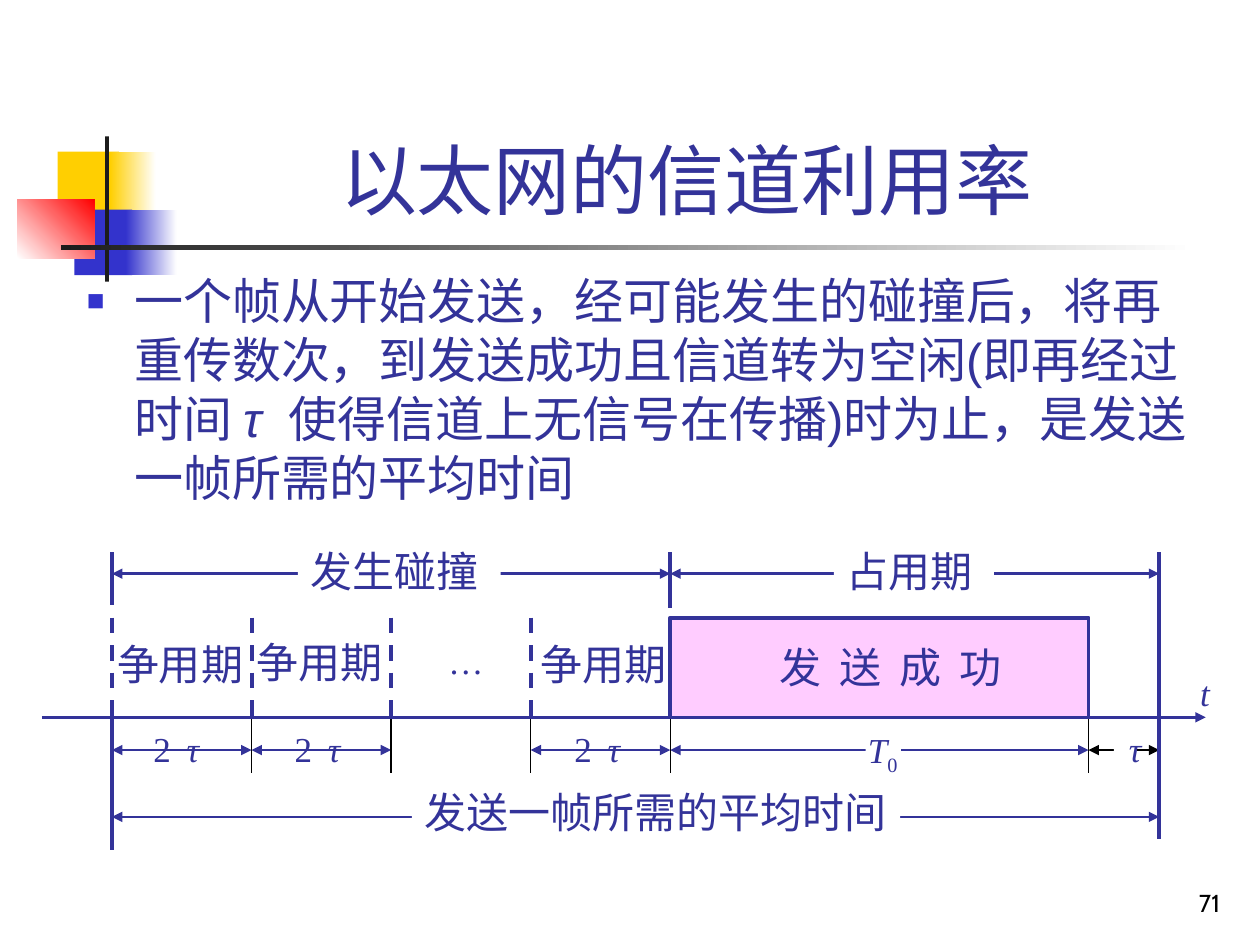
from lxml import etree
from pptx import Presentation
from pptx.dml.color import RGBColor
from pptx.enum import dml, shapes, text
from pptx.oxml.ns import qn
from pptx.util import Pt

NAVY = RGBColor(0x33, 0x33, 0x99)
BLUE = RGBColor(0x33, 0x33, 0xCC)
YELLOW = RGBColor(0xFF, 0xCF, 0x01)
RED = RGBColor(0xFF, 0x00, 0x00)
PINK = RGBColor(0xFF, 0xCC, 0xFF)
INK = RGBColor(0x1C, 0x1C, 0x1C)
BLACK = RGBColor(0, 0, 0)
WHITE = RGBColor(0xFF, 0xFF, 0xFF)
SERIF = "Times New Roman"


def points(*values):
    return [Pt(value) for value in values]


def style_font(font, name, size, color, italic=None):
    font.name, font.size, font.italic = name, Pt(size), italic
    font.color.rgb = color


def add_rect(slide, box, color, end_color=None, angle=0):
    """A borderless rectangle, plain or fading from color to end_color."""
    shape = slide.shapes.add_shape(shapes.MSO_SHAPE.RECTANGLE, *points(*box))
    shape.shadow.inherit = False
    shape.line.fill.background()
    if end_color is None:
        shape.fill.solid()
        shape.fill.fore_color.rgb = color
    else:
        shape.fill.gradient()
        shape.fill.gradient_angle = angle
        for stop, stop_color in zip(shape.fill.gradient_stops, (color, end_color)):
            stop.color.rgb = stop_color
    return shape


def add_line(slide, x1, y1, x2, y2, color=NAVY, width=2.25, dash=None, ends=()):
    """A straight line; ends lists the headEnd and tailEnd arrowheads wanted."""
    line = slide.shapes.add_connector(shapes.MSO_CONNECTOR.STRAIGHT, *points(x1, y1, x2, y2))
    line.line.color.rgb = color
    line.line.width = Pt(width)
    if dash is not None:
        line.line.dash_style = dash
    properties = line._element.spPr
    for end in ends:
        etree.SubElement(properties.find(qn("a:ln")), qn(f"a:{end}"), type="triangle")
    etree.SubElement(properties, qn("a:effectLst"))


def add_span(slide, x1, x2, y, color=NAVY):
    add_line(slide, x1, y, x2, y, color, 1.5, ends=("headEnd", "tailEnd"))


def add_label(slide, wording, x, y, width, size=24, italic=None, fill=None):
    """One unwrapped line of text in a box that grows to hold it."""
    box = slide.shapes.add_textbox(*points(x, y, width, size * 1.1 + 9.6))
    if fill is not None:
        box.fill.solid()
        box.fill.fore_color.rgb = fill
    box.text_frame.word_wrap = False
    box.text_frame.auto_size = text.MSO_AUTO_SIZE.SHAPE_TO_FIT_TEXT
    paragraph = box.text_frame.paragraphs[0]
    paragraph.add_run().text = wording
    style_font(paragraph.font, SERIF, size, NAVY, italic)
    return paragraph


def place(placeholder, box):
    placeholder.left, placeholder.top, placeholder.width, placeholder.height = points(*box)
    placeholder.text_frame.auto_size = text.MSO_AUTO_SIZE.NONE
    return placeholder.text_frame


def build_ornament(slide, left, top, width, height):
    # Coloured squares fading out
    add_rect(slide, (left + 23, top + 8.6, 35, 37.4), YELLOW)
    add_rect(slide, (left + 53, top + 8.6, 26, 37.4), YELLOW, WHITE)
    add_rect(slide, (left + 32.5, top + 41.8, 33, 37.4), BLUE)
    add_rect(slide, (left + 62, top + 41.8, 29, 37.4), BLUE, WHITE)
    add_rect(slide, (left, top + 36, 44, 33.5), WHITE, RED, angle=45)
    # Crossing bars
    add_rect(slide, (left + 50, top, 2.3, height), INK)
    add_rect(slide, (left + 24.8, top + 62.2, width - 24.8, 2.5), INK, WHITE)


def build_title(slide, box):
    frame = place(slide.shapes.title, box)
    frame.vertical_anchor = text.MSO_ANCHOR.BOTTOM
    paragraph = frame.paragraphs[0]
    paragraph.add_run().text = "以太网的信道利用率 "
    paragraph.alignment = text.PP_ALIGN.CENTER
    style_font(paragraph.font, "Arial", 44, NAVY)


def build_body(slide, box):
    paragraph = place(slide.placeholders[1], box).paragraphs[0]
    for wording in (
        "一个帧从开始发送，经可能发生的碰撞后，将再重传数次，到发送成功且信道转为空闲(即再经过时间 ",
        "τ ",
        "使得信道上无信号在传播)时为止，是发送一帧所需的平均时间",
    ):
        paragraph.add_run().text = wording
    tau = paragraph.runs[1]
    tau.font.italic = True
    tau.font._element.set("spc", "400")
    # Square bullet with hanging indent
    paragraph.space_before = Pt(0)
    properties = paragraph._p.get_or_add_pPr()
    properties.set("marL", str(Pt(27)))
    properties.set("indent", str(-Pt(27)))
    bullet_color = etree.SubElement(properties, qn("a:buClr"))
    etree.SubElement(bullet_color, qn("a:srgbClr"), val=str(BLUE))
    etree.SubElement(properties, qn("a:buSzPct"), val="60000")
    etree.SubElement(properties, qn("a:buFont"), typeface="Arial")
    etree.SubElement(properties, qn("a:buChar"), char="■")
    style_font(paragraph.font, "Arial", 28, NAVY)


def build_timeline(slide, left, top, width):
    slot = 79.75
    start = left + 40
    slots = [start + index * slot for index in range(5)]
    busy, idle, end = slots[4], left + 598, left + 638.4
    upper, phases, frame_top = top + 7.4, top + 19.6, top + 44.8
    axis, durations, ticks, total = top + 101.7, top + 120.4, top + 133.4, top + 158.6

    # Dimension arrows
    add_span(slide, start, end, total)
    add_span(slide, start, busy, phases)
    add_span(slide, busy, end, phases)
    add_span(slide, idle, end, durations, BLACK)
    add_rect(slide, (idle + 14.5, durations - 7.2, 13, 16.5), WHITE)
    add_span(slide, busy, idle, durations)
    for index in (3, 1, 0):
        add_span(slide, slots[index], slots[index + 1], durations)

    # Frame sent with success
    builder = slide.shapes.build_freeform(*points(busy, axis), scale=1.0)
    corners = [(busy, frame_top), (idle, frame_top), (idle, axis)]
    builder.add_line_segments([points(*corner) for corner in corners], close=False)
    frame = builder.convert_to_shape()
    frame.shadow.inherit = False
    frame.fill.solid()
    frame.fill.fore_color.rgb = PINK
    frame.line.color.rgb = NAVY
    frame.line.width = Pt(2.25)
    success = add_label(slide, "发 送 成 功", busy + 55.5, top + 54.9, 147.6)
    success.runs[0].font._element.set("spc", "250")

    # Contention slots
    for x, y in ((start - 4.2, 53.4), (slots[1] - 4.4, 52), (slots[3] - 1.5, 53.4)):
        add_label(slide, "争用期", x, top + y, 91.4)
    add_label(slide, "…", slots[2] + 25.7, top + 53.4, 34.6, 20)
    for x in slots[:4]:
        add_line(slide, x, frame_top, x, axis, dash=dml.MSO_LINE.DASH)

    # Boundaries and ticks
    for x, y1, y2 in (
        (start, axis, top + 177.3),
        (start, upper, top + 37.6),
        (busy, upper, top + 39),
        (end, upper, top + 171.5),
    ):
        add_line(slide, x, y1, x, y2)
    for x in (*slots[1:], idle):
        add_line(slide, x, axis, x, ticks, BLACK, 0.75)

    # Durations
    label_top = top + 103.8
    for x in (slots[0] + 16.6, slots[1] + 17.5, slots[3] + 17.9):
        add_label(slide, "2", x, label_top, 24.5, 20)
        add_label(slide, "τ", x + 19, label_top, 21.6, 20, italic=True)
    add_label(slide, "τ", idle + 16, label_top, 21.6, 20, italic=True)
    add_rect(slide, (busy + 111.6, top + 108.2, 20.2, 25.2), WHITE)
    frame_time = add_label(slide, "T", busy + 105.9, top + 104.6, 32, 20)
    frame_time.runs[0].font.italic = True
    subscript = frame_time.add_run()
    subscript.text = "0"
    subscript.font._element.set("baseline", "-25000")

    # Phase names and total
    add_label(slide, "占用期", busy + 93.6, top + 0.2, 91.4, fill=WHITE)
    add_label(slide, "发生碰撞", start + 106.2, top + 0.2, 115.9, fill=WHITE)
    add_label(slide, "发送一帧所需的平均时间", start + 171.4, top + 137.7, 279, fill=WHITE)

    # Time axis
    add_line(slide, left, axis, left + width, axis, width=1.5, ends=("tailEnd",))
    add_label(slide, "t", left + width - 10.3, top + 72.2, 19.4, 20, italic=True)


def build_slide_number(slide, box):
    frame = slide.shapes.add_textbox(*points(*box)).text_frame
    frame.word_wrap = True
    frame.vertical_anchor = text.MSO_ANCHOR.BOTTOM
    paragraph = frame.paragraphs[0]
    paragraph.add_run().text = "71"
    paragraph.alignment = text.PP_ALIGN.RIGHT
    style_font(paragraph.font, "Cabin", 14, BLACK)


def main():
    presentation = Presentation()
    presentation.slide_width, presentation.slide_height = points(720, 540)
    slide = presentation.slides.add_slide(presentation.slide_layouts[1])
    build_ornament(slide, 10, 78, 673, 83)
    build_title(slide, (90.7, 16.8, 613.4, 115.2))
    build_body(slide, (42.5, 151.2, 646.6, 181.4))
    build_timeline(slide, 24, 308.2, 665)
    build_slide_number(slide, (554.4, 491.6, 149.8, 36))
    presentation.save("out.pptx")


if __name__ == "__main__":
    main()
